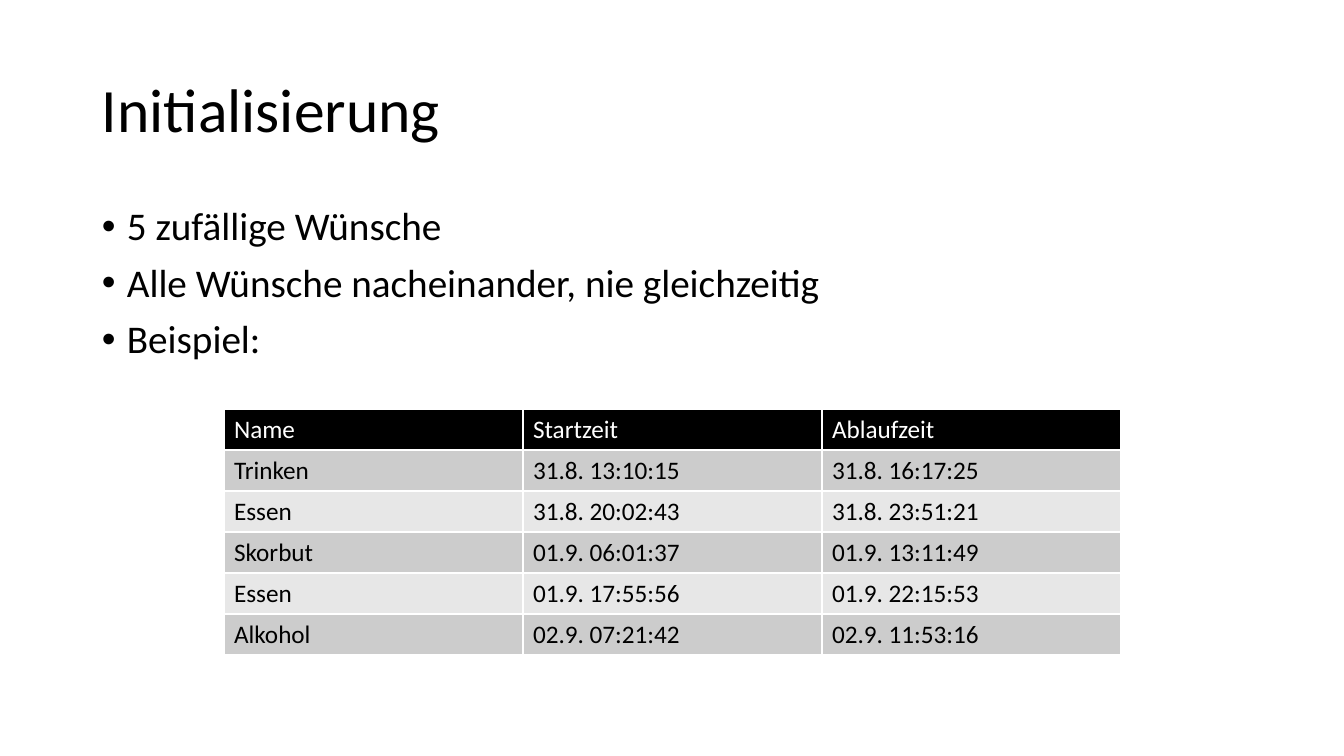
"""Builds the slide "Initialisierung" with three bullets and a table of example wishes."""
import pptx
import pptx.dml.color
import pptx.enum.text
import pptx.oxml.ns
import pptx.util
import lxml.etree

HEADING = "Initialisierung"
BULLETS = ["5 zufällige Wünsche", "Alle Wünsche nacheinander, nie gleichzeitig", "Beispiel:"]
WISHES = [
    ("Name", "Startzeit", "Ablaufzeit"),
    ("Trinken", "31.8. 13:10:15", "31.8. 16:17:25"),
    ("Essen", "31.8. 20:02:43", "31.8. 23:51:21"),
    ("Skorbut", "01.9. 06:01:37", "01.9. 13:11:49"),
    ("Essen", "01.9. 17:55:56", "01.9. 22:15:53"),
    ("Alkohol", "02.9. 07:21:42", "02.9. 11:53:16"),
]
FONT = "Calibri"
BLACK, WHITE = "000000", "FFFFFF"
BANDS = ["E7E7E7", "CCCCCC"]
SLIDE_SIZE = (1344, 756)
HEADING_BOX = (92, 40, 1159, 146)
BULLETS_BOX = (92, 202, 1159, 480)
TABLE_CORNER = (224, 409)
COLUMN_WIDTH, ROW_HEIGHT = 299, 41
BULLET_INDENT = 25
EMU_PER_PX = 914400 / 100.8


def px(length):
    return pptx.util.Emu(round(length * EMU_PER_PX))


def color(code):
    return pptx.dml.color.RGBColor.from_string(code)


def add_child(parent, tag, **attributes):
    return lxml.etree.SubElement(parent, pptx.oxml.ns.qn(tag), attributes)


def style_runs(paragraph, size, code):
    for run in paragraph.runs:
        run.font.name = FONT
        run.font.size = pptx.util.Pt(size)
        run.font.bold = False
        run.font.color.rgb = color(code)


def add_text(slide, box, lines, size, anchor):
    frame = slide.shapes.add_textbox(*map(px, box)).text_frame
    frame.word_wrap = True
    frame.vertical_anchor = anchor
    frame.text = "\n".join(lines)
    for paragraph in frame.paragraphs:
        paragraph.line_spacing = 0.9
        style_runs(paragraph, size, BLACK)
    return frame


def add_bullet(paragraph):
    paragraph.space_before = pptx.util.Pt(10)
    properties = paragraph._p.get_or_add_pPr()
    properties.set("marL", str(px(BULLET_INDENT)))
    properties.set("indent", str(-px(BULLET_INDENT)))
    add_child(properties, "a:buFont", typeface="Arial")
    add_child(properties, "a:buChar", char="•")


def add_borders(cell):
    properties = cell._tc.get_or_add_tcPr()
    for side in "LRTB":
        line = add_child(properties, f"a:ln{side}", w=str(pptx.util.Pt(1)))
        add_child(add_child(line, "a:solidFill"), "a:srgbClr", val=WHITE)


def add_wishes(slide):
    rows, columns = len(WISHES), len(WISHES[0])
    size = (columns * COLUMN_WIDTH, rows * ROW_HEIGHT)
    table = slide.shapes.add_table(rows, columns, *map(px, TABLE_CORNER + size)).table
    for row, wish in enumerate(WISHES):
        fill, ink = (BANDS[row % 2], BLACK) if row else (BLACK, WHITE)
        for column, entry in enumerate(wish):
            cell = table.cell(row, column)
            cell.text_frame.text = entry
            style_runs(cell.text_frame.paragraphs[0], 18, ink)
            add_borders(cell)
            cell.fill.solid()
            cell.fill.fore_color.rgb = color(fill)


def main():
    deck = pptx.Presentation()
    deck.slide_width, deck.slide_height = map(px, SLIDE_SIZE)
    slide = deck.slides.add_slide(deck.slide_layouts[6])
    anchors = pptx.enum.text.MSO_ANCHOR
    add_text(slide, HEADING_BOX, [HEADING], 44, anchors.MIDDLE)
    for paragraph in add_text(slide, BULLETS_BOX, BULLETS, 28, anchors.TOP).paragraphs:
        add_bullet(paragraph)
    add_wishes(slide)
    deck.save("out.pptx")


if __name__ == "__main__":
    main()
